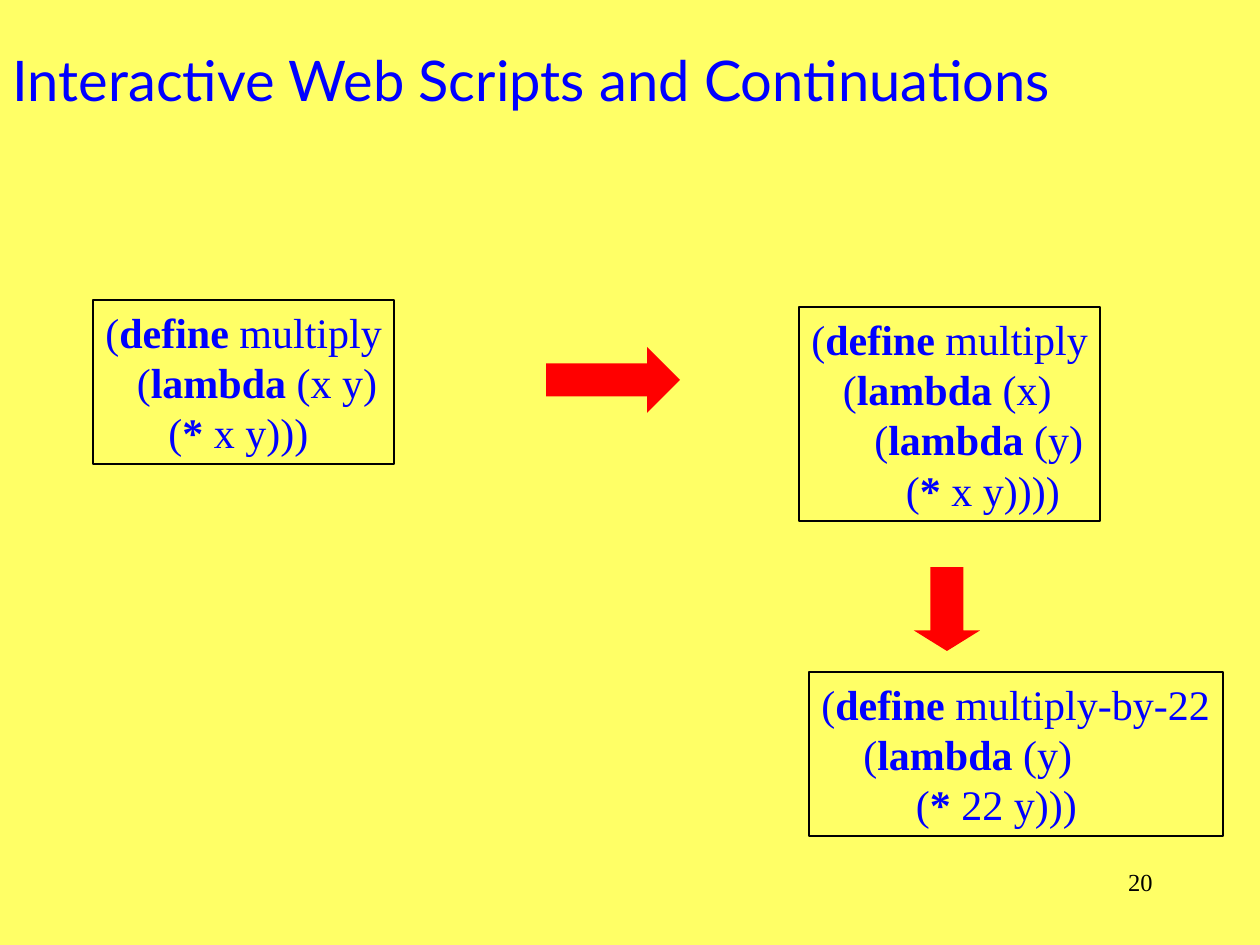
from dataclasses import dataclass

from pptx import Presentation
from pptx.dml.color import RGBColor
from pptx.enum.shapes import MSO_SHAPE
from pptx.enum.text import MSO_ANCHOR, MSO_AUTO_SIZE, PP_ALIGN
from pptx.slide import Slide
from pptx.util import Emu, Pt

PIXELS_PER_INCH = 126
SPACE_WIDTH = Pt(6)
BLUE = "0000FF"
RED = "FF0000"
BLACK = "000000"
YELLOW = "FFFF66"
CODE_FONT = "Times New Roman"


@dataclass(frozen=True)
class Frame:
    """A rectangle on the slide in px."""

    left: int
    top: int
    width: int
    height: int

    def lengths(self) -> tuple[Emu, ...]:
        """Return left, top, width and height in EMU."""
        return tuple(px(n) for n in (self.left, self.top, self.width, self.height))


@dataclass(frozen=True)
class CodeLine:
    """A line of code, indented by a number of spaces, with a bold keyword."""

    indent: int
    keyword: str
    rest: str


@dataclass(frozen=True)
class CodeBox:
    """An outlined box of code."""

    frame: Frame
    lines: tuple[CodeLine, ...]


@dataclass(frozen=True)
class Arrow:
    """A block arrow with its head length as a share of its thickness."""

    kind: MSO_SHAPE
    frame: Frame
    head: float


CODE_BOXES = (
    CodeBox(Frame(93, 300, 301, 164), (
        CodeLine(0, "define", "multiply"),
        CodeLine(3, "lambda", "(x y)"),
        CodeLine(6, "*", "x y)))"),
    )),
    CodeBox(Frame(799, 307, 301, 214), (
        CodeLine(0, "define", "multiply"),
        CodeLine(3, "lambda", "(x)"),
        CodeLine(6, "lambda", "(y)"),
        CodeLine(9, "*", "x y))))"),
    )),
    CodeBox(Frame(809, 672, 414, 164), (
        CodeLine(0, "define", "multiply-by-22"),
        CodeLine(4, "lambda", "(y)"),
        CodeLine(9, "*", "22 y)))"),
    )),
)

ARROWS = (
    Arrow(MSO_SHAPE.RIGHT_ARROW, Frame(546, 347, 134, 66), 0.5),
    Arrow(MSO_SHAPE.DOWN_ARROW, Frame(914, 567, 66, 84), 0.31),
)


def px(length: int) -> Emu:
    """Turn px into EMU."""
    return Emu(round(length * 914400 / PIXELS_PER_INCH))


def color(value: str) -> RGBColor:
    """Turn a hex string into a colour."""
    return RGBColor.from_string(value)


def set_font(paragraph, name: str, size: int, value: str) -> None:
    """Set the font of a whole paragraph."""
    paragraph.font.name = name
    paragraph.font.size = Pt(size)
    paragraph.font.color.rgb = color(value)


def add_title(slide: Slide, text: str, frame: Frame) -> None:
    """Fill and place the title placeholder."""
    title = slide.shapes.title
    title.left, title.top, title.width, title.height = frame.lengths()
    title.text_frame.text = text
    title.text_frame.auto_size = MSO_AUTO_SIZE.NONE
    title.text_frame.vertical_anchor = MSO_ANCHOR.MIDDLE
    paragraph = title.text_frame.paragraphs[0]
    paragraph.alignment = PP_ALIGN.LEFT
    set_font(paragraph, "Lato", 32, BLUE)


def add_code_box(slide: Slide, box: CodeBox) -> None:
    """Draw an outlined box of code with bold keywords."""
    shape = slide.shapes.add_textbox(*box.frame.lengths())
    shape.line.color.rgb = color(BLACK)
    shape.line.width = Pt(1)
    text_frame = shape.text_frame
    text_frame.word_wrap = True
    text_frame.auto_size = MSO_AUTO_SIZE.NONE
    text_frame.margin_right = 0
    for index, line in enumerate(box.lines):
        paragraph = text_frame.add_paragraph() if index else text_frame.paragraphs[0]
        set_font(paragraph, CODE_FONT, 24, BLUE)
        properties = paragraph._p.get_or_add_pPr()
        properties.set("marL", str(line.indent * SPACE_WIDTH))
        properties.set("indent", "0")
        for text, bold in (("(", False), (f"{line.keyword} ", True), (line.rest, False)):
            run = paragraph.add_run()
            run.text = text
            run.font.bold = bold


def add_arrow(slide: Slide, arrow: Arrow) -> None:
    """Draw a red block arrow."""
    shape = slide.shapes.add_shape(arrow.kind, *arrow.frame.lengths())
    shape.shadow.inherit = False
    shape.adjustments[1] = arrow.head
    shape.fill.solid()
    shape.fill.fore_color.rgb = color(RED)
    shape.line.fill.background()


def add_page_number(slide: Slide, text: str, frame: Frame) -> None:
    """Write the page number at the lower right."""
    text_frame = slide.shapes.add_textbox(*frame.lengths()).text_frame
    text_frame.word_wrap = True
    text_frame.text = text
    paragraph = text_frame.paragraphs[0]
    paragraph.alignment = PP_ALIGN.RIGHT
    set_font(paragraph, CODE_FONT, 14, BLACK)


def main() -> None:
    """Build and save the slide."""
    presentation = Presentation()
    presentation.slide_width = px(1260)
    presentation.slide_height = px(945)
    slide = presentation.slides.add_slide(presentation.slide_layouts[5])
    slide.background.fill.solid()
    slide.background.fill.fore_color.rgb = color(YELLOW)
    add_title(slide, "Interactive Web Scripts and Continuations", Frame(0, 0, 1071, 158))
    for box in CODE_BOXES:
        add_code_box(slide, box)
    for arrow in ARROWS:
        add_arrow(slide, arrow)
    add_page_number(slide, "20", Frame(903, 861, 262, 63))
    presentation.save("out.pptx")


if __name__ == "__main__":
    main()
